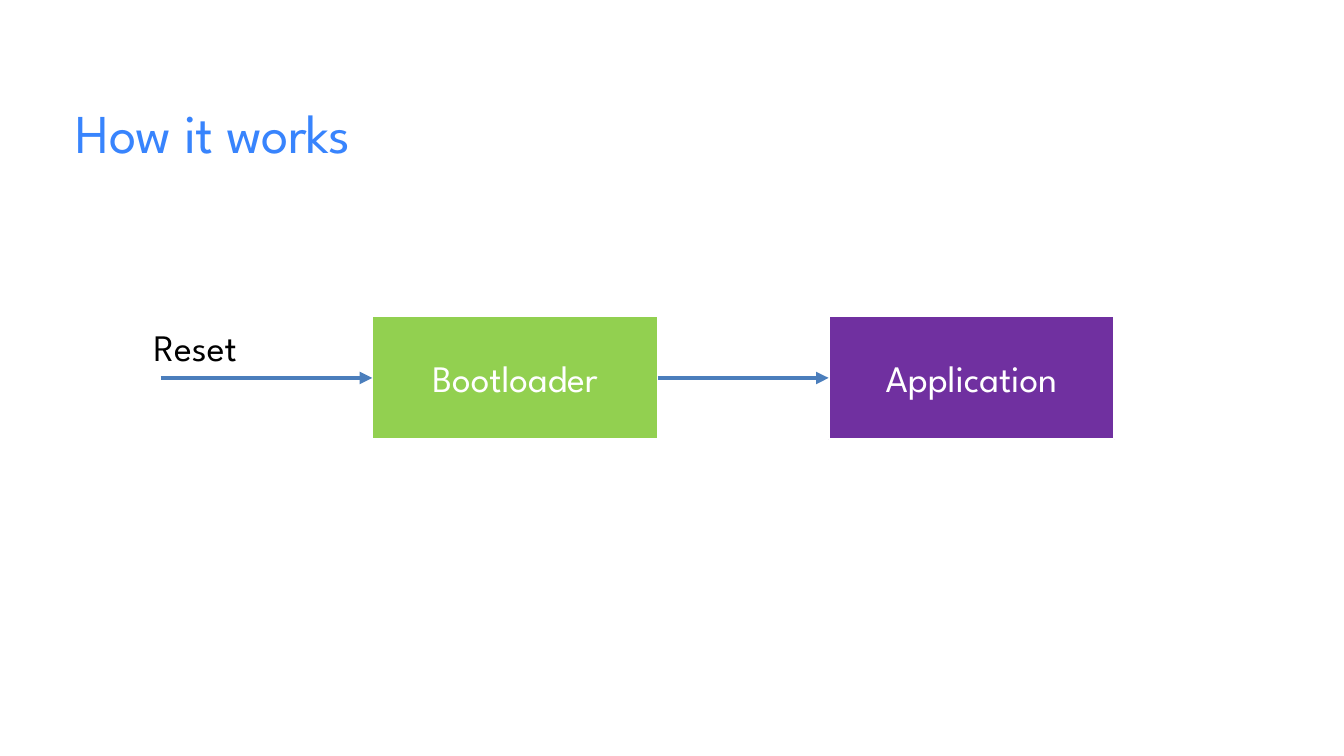
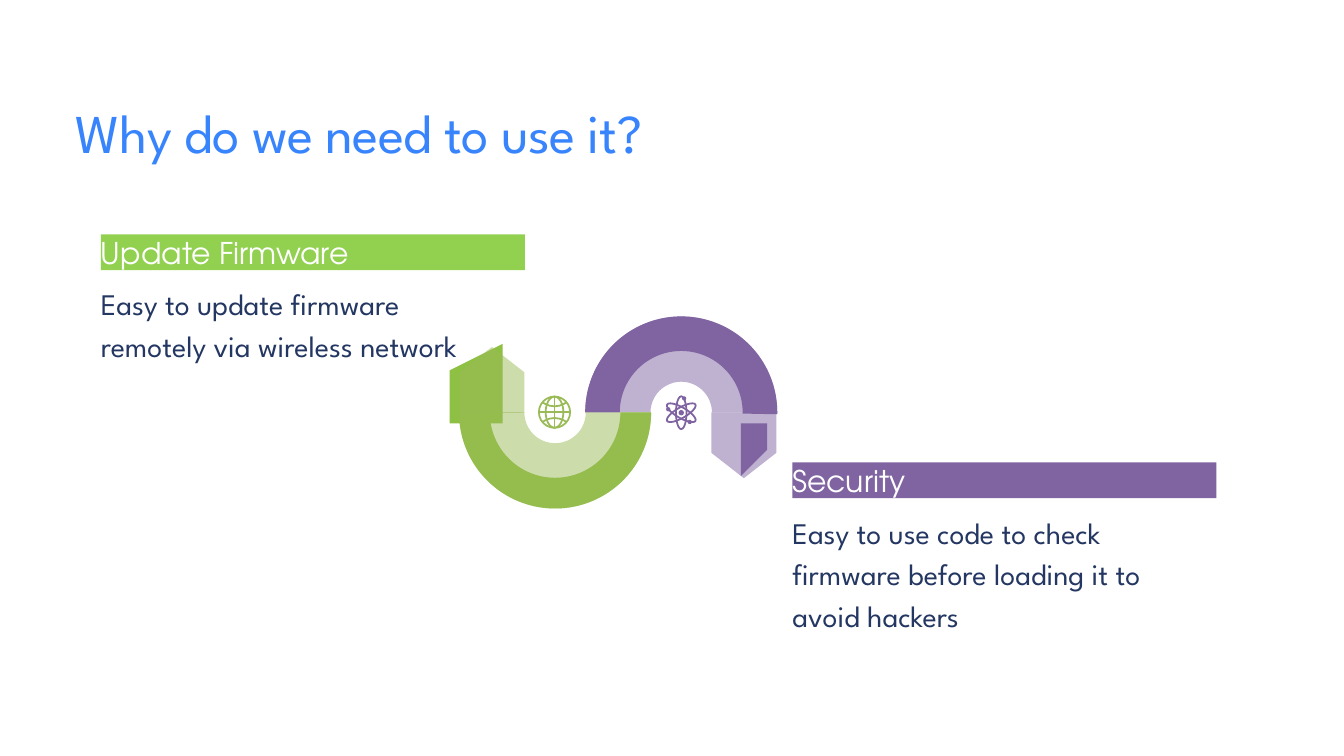
"""Build two slides on how a bootloader works and why it is needed."""
from lxml.etree import SubElement
from pptx import Presentation
from pptx.dml.color import RGBColor
from pptx.enum.shapes import MSO_CONNECTOR, MSO_SHAPE
from pptx.enum.text import MSO_ANCHOR, MSO_AUTO_SIZE, PP_ALIGN
from pptx.oxml.ns import qn
from pptx.shapes.connector import Connector
from pptx.util import Cm, Pt

BLUE, NAVY, ARROW = "3884FD", "243762", "4B7EBC"
LIME, LEAF, OLIVE = "92D050", "8EC043", "9BBB59"
VIOLET, MAUVE = "7030A0", "8064A2"
WHITE, BLACK = "FFFFFF", "000000"
SPARTAN, ADVENTOR = "League Spartan", "TeX Gyre Adventor"

TITLE = {
    "frame": {"vertical_anchor": MSO_ANCHOR.MIDDLE},
    "paragraph": {"line_spacing": 0.9, "space_after": Pt(6)},
    "font": {"name": SPARTAN, "size": Pt(58.6)},
}
STAGE = {
    "frame": {"vertical_anchor": MSO_ANCHOR.MIDDLE},
    "paragraph": {"alignment": PP_ALIGN.CENTER},
    "font": {"name": SPARTAN, "size": Pt(40)},
}
LABEL = {
    "frame": {"auto_size": MSO_AUTO_SIZE.SHAPE_TO_FIT_TEXT},
    "paragraph": {},
    "font": {"name": SPARTAN, "size": Pt(40)},
}
TIGHT = {
    "margin_left": 0, "margin_right": 0, "margin_top": 0, "margin_bottom": 0,
    "vertical_anchor": MSO_ANCHOR.TOP,
    "auto_size": MSO_AUTO_SIZE.SHAPE_TO_FIT_TEXT,
}
HEADING = {
    "frame": TIGHT,
    "paragraph": {"line_spacing": Pt(38.4), "alignment": PP_ALIGN.LEFT},
    "font": {"name": ADVENTOR, "size": Pt(32)},
}
BODY = {
    "frame": TIGHT,
    "paragraph": {"line_spacing": Pt(44.8)},
    "font": {"name": SPARTAN, "size": Pt(32)},
}


def paint(fill, colour, alpha=100):
    fill.solid()
    fill.fore_color.rgb = RGBColor.from_string(colour)
    if alpha < 100:
        tint = fill._xPr.find(qn("a:solidFill"))[0]
        SubElement(tint, qn("a:alpha"), val=str(alpha * 1000))


def write(shape, text, style, colour):
    frame = shape.text_frame
    frame.word_wrap = True
    paragraph = frame.paragraphs[0]
    run = paragraph.add_run()
    run.text = text
    for part, target in (("frame", frame), ("paragraph", paragraph), ("font", run.font)):
        for name, value in style[part].items():
            setattr(target, name, value)
    paint(run.font.fill, colour)
    return run


deck = Presentation()
deck.slide_width, deck.slide_height = Cm(50.8), Cm(50.8 * 9 / 16)
slides = []
for heading, width in (("How it works", 14.25), ("Why do we need to use it?", 29.97)):
    slide = deck.slides.add_slide(deck.slide_layouts[6])
    title = slide.shapes.add_textbox(Cm(2.62), Cm(2.08), Cm(width), Cm(6.1))
    run = write(title, heading, TITLE, BLUE)
    run._r.get_or_add_rPr().set("spc", "-60")
    slides.append(slide)
flow, reasons = (slide.shapes for slide in slides)

stages = []
for name, left, colour in (("Bootloader", 14.07, LIME), ("Application", 31.32, VIOLET)):
    stage = flow.add_shape(MSO_SHAPE.RECTANGLE, Cm(left), Cm(11.96), Cm(10.8), Cm(4.65))
    paint(stage.fill, colour)
    paint(stage.line.fill, WHITE)
    stage.line.width = Pt(2)
    write(stage, name, STAGE, WHITE)
    stages.append(stage)
bootloader, application = stages

axis = Cm(11.96 + 4.65 / 2)
for source, target in ((bootloader, application), (None, bootloader)):
    arrow = flow.add_connector(MSO_CONNECTOR.STRAIGHT, Cm(6.07), axis, target.left, axis)
    if source:
        arrow.begin_connect(source, 3)
    arrow.end_connect(target, 1)
    paint(arrow.line.fill, ARROW)
    arrow.line.width = Pt(4.5)
    SubElement(arrow.line._get_or_add_ln(), qn("a:tailEnd"), type="triangle")

reset = flow.add_textbox(Cm(5.56), Cm(12.12), Cm(5.31), Cm(1.96))
write(reset, "Reset", LABEL, BLACK)

ribbons = [
    {"dark": MAUVE, "light": MAUVE, "arc_left": 22.12, "arc_turn": 0,
     "rim": (108, 0.65, 0.18), "inner": (108, 0, 0.34),
     "fold": [(29.39, 15.57), (29.39, 17.4), (28.09, 18.06), (28.07, 17.4), (28.07, 15.57)],
     "tip": (26.87, 15.6), "tip_turn": 90},
    {"dark": LEAF, "light": OLIVE, "arc_left": 17.35, "arc_turn": 180,
     "rim": (108, 0.43, 0.16), "inner": (108, 0.22, 0.34),
     "fold": [(17.37, 15.6), (17.37, 14.07), (18.64, 13.16), (18.52, 14.07), (18.52, 15.6)],
     "tip": (17.35, 13.13), "tip_turn": 270},
]
for ribbon in ribbons:
    arcs = []
    for layer in ("rim", "inner"):
        if layer == "inner":
            start, *corners = ribbon["fold"]
            outline = reasons.build_freeform(*start, scale=Cm(1))
            outline.add_line_segments(corners)
            fold = outline.convert_to_shape()
        arc = reasons.add_shape(
            MSO_SHAPE.BLOCK_ARC, Cm(ribbon["arc_left"]), Cm(11.96), Cm(7.26), Cm(7.26))
        arc.rotation = ribbon["arc_turn"]
        for index, value in enumerate(ribbon[layer]):
            arc.adjustments[index] = value
        arcs.append(arc)
    left, top = ribbon["tip"]
    tip = reasons.add_shape(MSO_SHAPE.PENTAGON, Cm(left), Cm(top), Cm(2.49), Cm(2.46))
    tip.rotation = ribbon["tip_turn"]
    tip.adjustments[0] = 0.39
    rim, inner = arcs
    for piece, shade, alpha in ((rim, "dark", 100), (fold, "dark", 100),
                                (inner, "light", 50), (tip, "light", 50)):
        paint(piece.fill, ribbon[shade], alpha)
        piece.line.fill.background()

globe_x, globe_y, globe_r = 20.96, 15.58, 0.59
atom_x, atom_y = 25.75, 15.6
strokes = []
for width in (2 * globe_r, 0.67):
    strokes.append((reasons.add_shape(
        MSO_SHAPE.OVAL, Cm(globe_x - width / 2), Cm(globe_y - globe_r),
        Cm(width), Cm(2 * globe_r)), OLIVE))
for dx, dy in ((globe_r, 0), (0, globe_r)):
    strokes.append((reasons.add_connector(
        MSO_CONNECTOR.STRAIGHT, Cm(globe_x - dx), Cm(globe_y - dy),
        Cm(globe_x + dx), Cm(globe_y + dy)), OLIVE))
for offset, begin, end in ((-0.96, 54, 126), (0.96, 234, 306)):
    latitude = reasons.add_shape(
        MSO_SHAPE.ARC, Cm(globe_x - 0.74), Cm(globe_y + offset - 0.74), Cm(1.48), Cm(1.48))
    latitude.adjustments[0], latitude.adjustments[1] = begin * 0.6, end * 0.6
    strokes.append((latitude, OLIVE))
for turn in (0, 60, 120):
    orbit = reasons.add_shape(
        MSO_SHAPE.OVAL, Cm(atom_x - 0.2), Cm(atom_y - 0.62), Cm(0.4), Cm(1.24))
    orbit.rotation = turn
    strokes.append((orbit, MAUVE))
for stroke, colour in strokes:
    paint(stroke.line.fill, colour)
    stroke.line.width = Pt(1.9)
    if not isinstance(stroke, Connector):
        stroke.fill.background()

for x, y, size in ((atom_x, atom_y, 0.2), (25.86, 15.06, 0.16),
                   (25.26, 15.47, 0.16), (26.07, 15.95, 0.16)):
    particle = reasons.add_shape(
        MSO_SHAPE.OVAL, Cm(x - size / 2), Cm(y - size / 2), Cm(size), Cm(size))
    paint(particle.fill, MAUVE)
    particle.line.fill.background()

for name, detail, left, top, colour in (
    ("Update Firmware", "Easy to update firmware remotely via wireless network",
     3.81, 8.86, LIME),
    ("Security", "Easy to use code to check firmware before loading it to avoid hackers",
     29.95, 17.48, MAUVE),
):
    banner = reasons.add_shape(MSO_SHAPE.RECTANGLE, Cm(left), Cm(top), Cm(16.03), Cm(1.35))
    paint(banner.fill, colour)
    banner.line.fill.background()
    write(banner, name, HEADING, WHITE)
    explanation = reasons.add_textbox(Cm(left), Cm(top + 1.73), Cm(13.77), Cm(4.75))
    write(explanation, detail, BODY, NAVY)

for slide in slides:
    for shape in slide.shapes:
        if isinstance(shape, Connector):
            SubElement(shape._element.spPr, qn("a:effectLst"))
        else:
            shape.shadow.inherit = False

deck.save("out.pptx")
